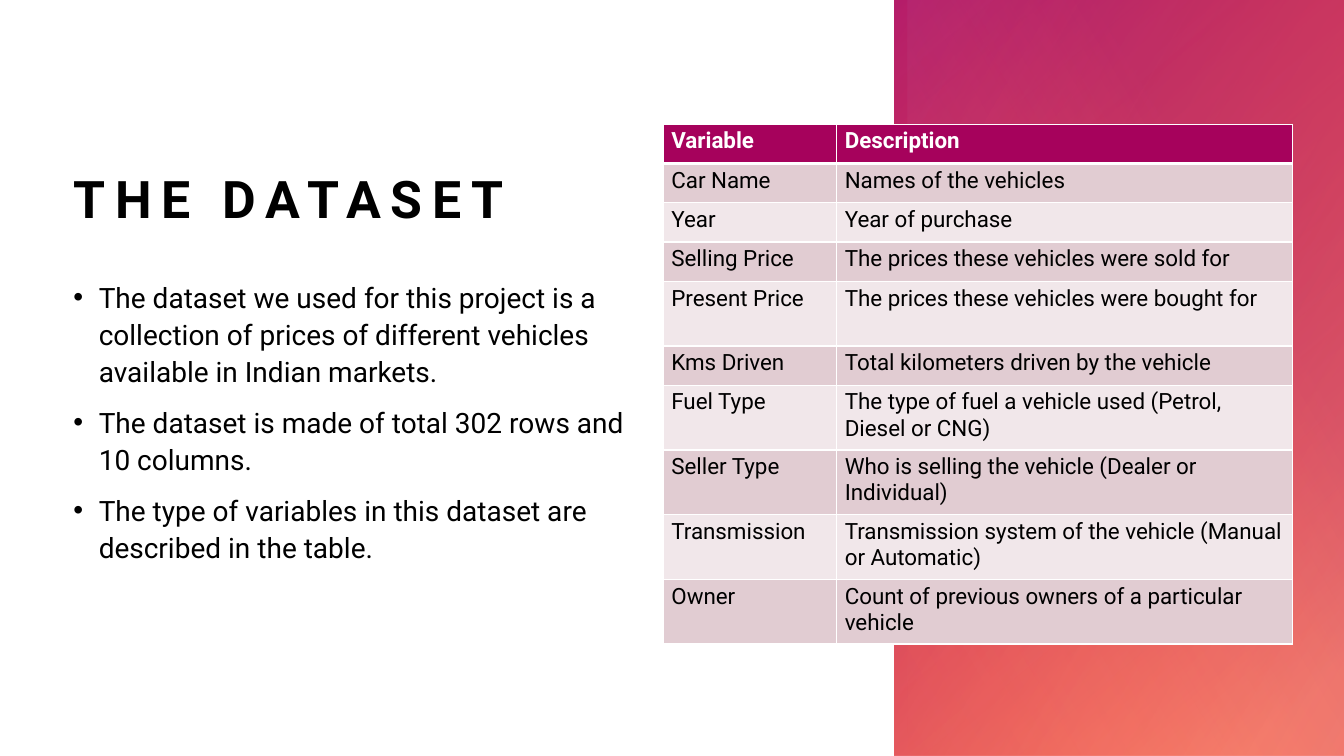
from dataclasses import dataclass

from pptx import Presentation
from pptx.dml.color import RGBColor
from pptx.enum.shapes import MSO_SHAPE as Preset
from pptx.enum.text import MSO_ANCHOR as Anchor, MSO_AUTO_SIZE as AutoSize, PP_ALIGN as Align
from pptx.oxml import parse_xml
from pptx.oxml.ns import nsdecls
from pptx.util import Cm, Pt


@dataclass(frozen=True)
class Theme:
    font: str = "Roboto"
    ink: str = "000000"
    white: str = "FFFFFF"
    header: str = "A6025C"
    bands: tuple = ("E1CCD2", "F1E7EA")
    title_size: int = 37
    body_size: int = 20
    table_size: int = 16


THEME = Theme()
SLIDE_W, SLIDE_H = 33.87, 19.05
TEXT_LEFT, TEXT_W = 1.85, 14.81
NO_INSETS = dict(margin_left=0, margin_top=0, margin_right=0, margin_bottom=0)

# Gradient layers: left edge, rotation, angle, stops (position, colour, opacity)
PANEL_LAYERS = [
    (22.54, 180, 130, [(8, "FF907A", 100), (100, "DA002F", 90)]),
    (22.54, 90, 60, [(0, "FE4A00", 13), (99, "92248E", 52)]),
    (22.87, 90, 300, [(0, "FF907A", 0), (72, "93258E", 26)]),
]

POINTS = [
    "The dataset we used for this project is a collection of prices of "
    "different vehicles available in Indian markets.",
    "The dataset is made of total 302 rows and 10 columns.",
    "The type of variables in this dataset are described in the table.",
]

# Variable, description, whether the row is tall
VARIABLES = [
    ("Variable", "Description", False),
    ("Car Name", "Names of the vehicles", False),
    ("Year", "Year of purchase", False),
    ("Selling Price", "The prices these vehicles were sold for", False),
    ("Present Price", "The prices these vehicles were bought for", True),
    ("Kms Driven", "Total kilometers driven by the vehicle", False),
    ("Fuel Type", "The type of fuel a vehicle used (Petrol, Diesel or CNG)", True),
    ("Seller Type", "Who is selling the vehicle (Dealer or Individual)", True),
    ("Transmission", "Transmission system of the vehicle (Manual or Automatic)", True),
    ("Owner", "Count of previous owners of a particular vehicle", True),
]
COLUMN_WIDTHS = (4.37, 11.48)
ROW_H, TALL_ROW_H = 0.99, 1.63


def apply(target, values):
    for name, value in values.items():
        setattr(target, name, value)


def style_font(font, size, color, bold=False):
    apply(font, dict(name=THEME.font, size=Pt(size), bold=bold))
    font.color.rgb = RGBColor.from_string(color)


def add_panel_layer(slide, left, rotation, angle, stops):
    # A quarter turn swaps the sides of the frame around the same centre
    width, height = SLIDE_W - left, SLIDE_H
    center = left + width / 2
    if rotation == 90:
        width, height = height, width
    layer = slide.shapes.add_shape(
        Preset.RECTANGLE, Cm(center - width / 2), Cm((SLIDE_H - height) / 2), Cm(width), Cm(height))
    layer.rotation = rotation
    layer.shadow.inherit = False
    layer.line.fill.background()
    frame = layer.element.spPr
    frame.xfrm.set("flipH", "1")
    stop_xml = "".join(
        f'<a:gs pos="{pos * 1000}"><a:srgbClr val="{color}">'
        f'<a:alpha val="{opacity * 1000}"/></a:srgbClr></a:gs>'
        for pos, color, opacity in stops)
    frame.prstGeom.addnext(parse_xml(
        f'<a:gradFill {nsdecls("a")} rotWithShape="1"><a:gsLst>{stop_xml}</a:gsLst>'
        f'<a:lin ang="{angle * 60000}" scaled="0"/></a:gradFill>'))


def format_title(title, text):
    apply(title, dict(left=Cm(TEXT_LEFT), top=Cm(1.42), width=Cm(TEXT_W), height=Cm(4.34)))
    apply(title.text_frame, dict(NO_INSETS, word_wrap=True, auto_size=AutoSize.NONE,
                                 vertical_anchor=Anchor.BOTTOM))
    heading = title.text_frame.paragraphs[0]
    heading.alignment = Align.LEFT
    run = heading.add_run()
    run.text = text
    style_font(run.font, THEME.title_size, THEME.ink, bold=True)
    run.font._element.set("spc", "700")


def add_points(slide, points):
    body = slide.shapes.add_textbox(Cm(TEXT_LEFT), Cm(6.98), Cm(TEXT_W), Cm(10.01)).text_frame
    apply(body, dict(NO_INSETS, word_wrap=True))
    for index, text in enumerate(points):
        point = body.add_paragraph() if index else body.paragraphs[0]
        apply(point, dict(line_spacing=1.1, space_before=Pt(10)))
        run = point.add_run()
        run.text = text
        style_font(run.font, THEME.body_size, THEME.ink)
        bullet = point._p.get_or_add_pPr()
        apply_indent = dict(marL=Cm(0.64), indent=-Cm(0.64))
        for name, value in apply_indent.items():
            bullet.set(name, str(value))
        bullet.append(parse_xml(f'<a:buFont {nsdecls("a")} typeface="Arial"/>'))
        bullet.append(parse_xml(f'<a:buChar {nsdecls("a")} char="\u2022"/>'))


def set_borders(cell, widths):
    # Borders come before the fill in the cell properties
    properties = cell._tc.get_or_add_tcPr()
    for index, (side, width) in enumerate(widths.items()):
        properties.insert(index, parse_xml(
            f'<a:ln{side} {nsdecls("a")} w="{Pt(width)}"><a:solidFill>'
            f'<a:srgbClr val="{THEME.white}"/></a:solidFill></a:ln{side}>'))


def fill_cell(cell, text, row):
    is_header = row == 0
    fill = THEME.header if is_header else THEME.bands[(row - 1) % 2]
    apply(cell, dict(margin_left=Cm(0.2), margin_right=Cm(0.2),
                     margin_top=Cm(0.1), margin_bottom=Cm(0.1)))
    cell.fill.solid()
    cell.fill.fore_color.rgb = RGBColor.from_string(fill)
    set_borders(cell, dict(L=1, R=1, T=3 if row == 1 else 1, B=3 if is_header else 1))
    run = cell.text_frame.paragraphs[0].add_run()
    run.text = text
    style_font(run.font, THEME.table_size, THEME.white if is_header else THEME.ink, is_header)


def add_variable_table(slide, variables):
    heights = [TALL_ROW_H if tall else ROW_H for *_, tall in variables]
    table = slide.shapes.add_table(
        len(variables), len(COLUMN_WIDTHS), Cm(16.72), Cm(3.13),
        Cm(sum(COLUMN_WIDTHS)), Cm(sum(heights))).table
    for column, width in zip(table.columns, COLUMN_WIDTHS):
        column.width = Cm(width)
    for row, (height, (*texts, _)) in enumerate(zip(heights, variables)):
        table.rows[row].height = Cm(height)
        for column, text in enumerate(texts):
            fill_cell(table.cell(row, column), text, row)


def main():
    deck = Presentation()
    apply(deck, dict(slide_width=Cm(SLIDE_W), slide_height=Cm(SLIDE_H)))
    slide = deck.slides.add_slide(deck.slide_layouts[5])

    # Heading and key points
    format_title(slide.shapes.title, "THE DATASET")
    add_points(slide, POINTS)

    # Gradient panel behind the table
    for layer in PANEL_LAYERS:
        add_panel_layer(slide, *layer)

    # Variables of the dataset
    add_variable_table(slide, VARIABLES)

    deck.save("out.pptx")


main()
